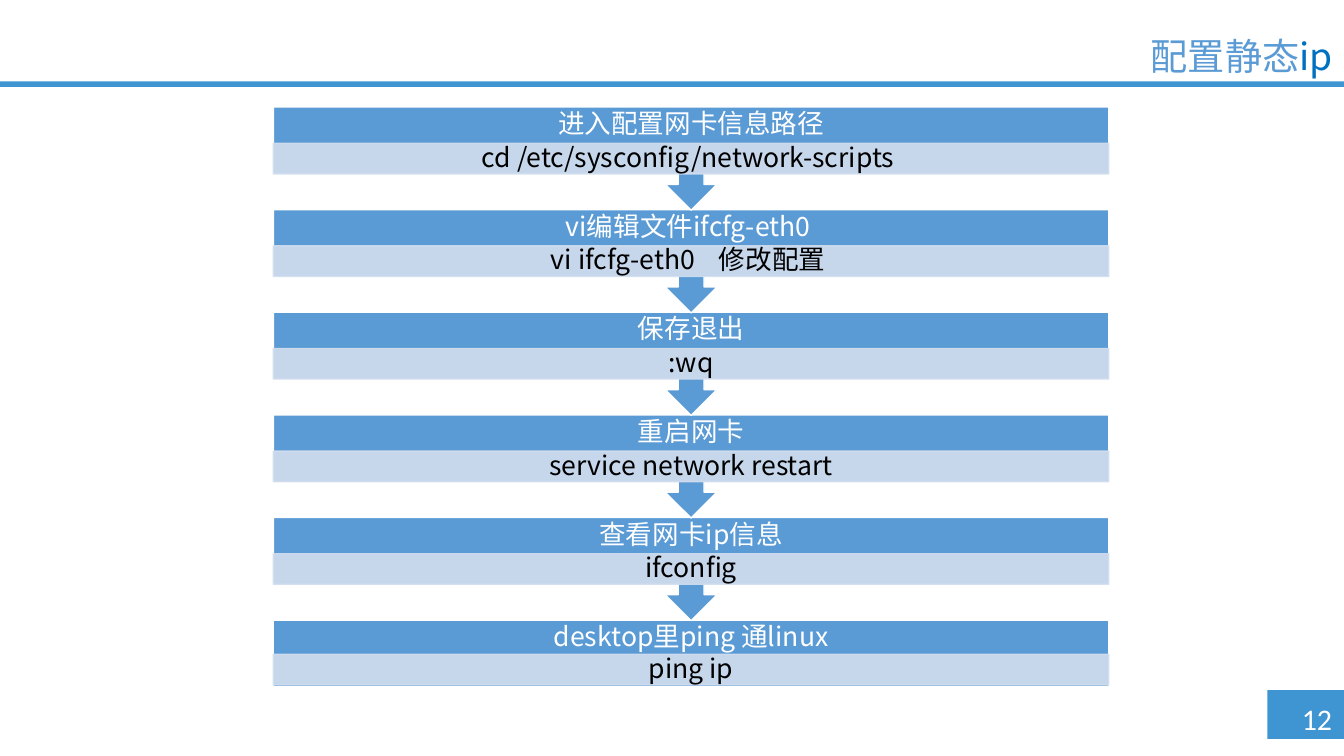
from dataclasses import dataclass
from typing import NamedTuple

from lxml.etree import SubElement
from pptx import Presentation
from pptx.dml.color import RGBColor
from pptx.dml.fill import FillFormat
from pptx.enum.shapes import MSO_SHAPE as Preset
from pptx.enum.text import MSO_ANCHOR as Anchor, MSO_AUTO_SIZE as AutoSize, PP_ALIGN as Align
from pptx.oxml.ns import qn
from pptx.shapes.autoshape import Shape
from pptx.slide import Slide
from pptx.text.text import TextFrame
from pptx.util import Inches, Pt

WIDTH, HEIGHT = 14.06, 7.91
SANS, DIGITS = "Noto Sans CJK SC", "Calibri"
BLUE, RULE_BLUE, DEEP_BLUE = "5B9BD5", "3F95D2", "0070C0"
PALE, WHITE, BLACK = "D2DEEF", "FFFFFF", "000000"

FLOW_LEFT, FLOW_WIDTH = 20.34, 62.16
FLOW_TOP, STEP_PITCH = 14.16, 13.57
CALLOUT_HEIGHT, BODY_HEIGHT = 13.65, 8.85
HEADING_HEIGHT, COMMAND_HEIGHT = 4.8, 4.05
LAST_COMMAND_OFFSET = 4.55


class PercentArea(NamedTuple):
    left: float
    top: float
    width: float
    height: float

    def emu(self) -> tuple[int, int, int, int]:
        return (Inches(WIDTH * self.left / 100), Inches(HEIGHT * self.top / 100),
                Inches(WIDTH * self.width / 100), Inches(HEIGHT * self.height / 100))


class Words(NamedTuple):
    text: str
    color: str
    size: float = 20
    font: str = SANS
    spacing: float = 0


@dataclass(frozen=True)
class Step:
    heading: str
    command: tuple[Words, ...]


STEPS = (
    Step("进入配置网卡信息路径", (Words("cd /etc/sysconfig/network-scripts ", BLACK),)),
    Step("vi编辑文件ifcfg-eth0 ", (
        Words("vi ifcfg-eth0", BLACK),
        Words(" ", BLACK, spacing=13.4),
        Words("修改配置 ", BLACK),
    )),
    Step("保存退出", (Words(":wq", BLACK),)),
    Step("重启网卡", (Words("service network restart", BLACK),)),
    Step("查看网卡ip信息", (Words("ifconfig", BLACK),)),
    Step("desktop里ping 通linux", (Words("ping ip", BLACK),)),
)


def rgb(color: str) -> RGBColor:
    return RGBColor.from_string(color)


def paint(fill: FillFormat, color: str, opacity: int = 100) -> None:
    fill.solid()
    fill.fore_color.rgb = rgb(color)
    if opacity < 100:
        tint = fill._xPr.find(qn("a:solidFill"))[0]
        SubElement(tint, qn("a:alpha")).set("val", str(opacity * 1000))


def add_block(slide: Slide, preset: Preset, area: PercentArea, color: str,
              outline: str = "", opacity: int = 100) -> Shape:
    block = slide.shapes.add_shape(preset, *area.emu())
    block.shadow.inherit = False
    paint(block.fill, color, opacity)
    if outline:
        block.line.width = Pt(1)
        paint(block.line.fill, outline, opacity)
    else:
        block.line.fill.background()
    return block


def write(frame: TextFrame, words: tuple[Words, ...], align: Align) -> None:
    paragraph = frame.paragraphs[0]
    paragraph.alignment = align
    for part in words:
        run = paragraph.add_run()
        run.text = part.text
        run.font.size = Pt(part.size)
        run.font.name = part.font
        run.font.color.rgb = rgb(part.color)
        properties = run.font._element
        SubElement(properties, qn("a:ea")).set("typeface", part.font)
        if part.spacing:
            properties.set("spc", str(round(part.spacing * 100)))


def write_centred(frame: TextFrame, words: tuple[Words, ...]) -> None:
    frame.word_wrap = True
    frame.vertical_anchor = Anchor.MIDDLE
    frame.margin_left = frame.margin_right = Inches(0.16)
    frame.margin_top = frame.margin_bottom = Inches(0.03)
    frame.paragraphs[0].line_spacing = 0.9
    write(frame, words, Align.CENTER)


def add_step(slide: Slide, index: int, step: Step) -> None:
    top = FLOW_TOP + index * STEP_PITCH
    is_last = index == len(STEPS) - 1
    if is_last:
        add_block(slide, Preset.RECTANGLE,
                  PercentArea(FLOW_LEFT, top, FLOW_WIDTH, BODY_HEIGHT), BLUE, WHITE)
    else:
        callout = add_block(slide, Preset.UP_ARROW_CALLOUT,
                            PercentArea(FLOW_LEFT, top, FLOW_WIDTH, CALLOUT_HEIGHT), BLUE, WHITE)
        callout.rotation = 180
    heading_area = PercentArea(FLOW_LEFT, top, FLOW_WIDTH, HEADING_HEIGHT)
    heading = slide.shapes.add_textbox(*heading_area.emu())
    write_centred(heading.text_frame, (Words(step.heading, WHITE),))
    command_top = top + (LAST_COMMAND_OFFSET if is_last else HEADING_HEIGHT)
    command = add_block(slide, Preset.RECTANGLE,
                        PercentArea(FLOW_LEFT, command_top, FLOW_WIDTH, COMMAND_HEIGHT),
                        PALE, PALE, opacity=90)
    write_centred(command.text_frame, step.command)


def add_title(slide: Slide) -> None:
    title = slide.shapes.title
    title.left, title.top, title.width, title.height = PercentArea(63.02, 3.79, 36.84, 7.21).emu()
    frame = title.text_frame
    frame.word_wrap = True
    frame.auto_size = AutoSize.NONE
    frame.vertical_anchor = Anchor.TOP
    write(frame, (Words("配置静态", BLUE, 28), Words("ip", DEEP_BLUE, 28)), Align.RIGHT)


def add_page_number(slide: Slide) -> None:
    add_block(slide, Preset.RECTANGLE, PercentArea(94.31, 91.28, 5.69, 6.45), RULE_BLUE)
    number = slide.shapes.add_textbox(*PercentArea(96.16, 92.04, 4.62, 6.07).emu())
    number.text_frame.word_wrap = False
    write(number.text_frame, (Words("12", WHITE, 22.5, DIGITS),), Align.LEFT)


def main() -> None:
    deck = Presentation()
    deck.slide_width, deck.slide_height = Inches(WIDTH), Inches(HEIGHT)
    slide = deck.slides.add_slide(deck.slide_layouts.get_by_name("Title Only"))
    add_title(slide)
    add_block(slide, Preset.RECTANGLE, PercentArea(0, 10.75, 100, 0.76), RULE_BLUE)
    add_page_number(slide)
    for index, step in reversed(list(enumerate(STEPS))):
        add_step(slide, index, step)
    deck.save("out.pptx")


if __name__ == "__main__":
    main()
